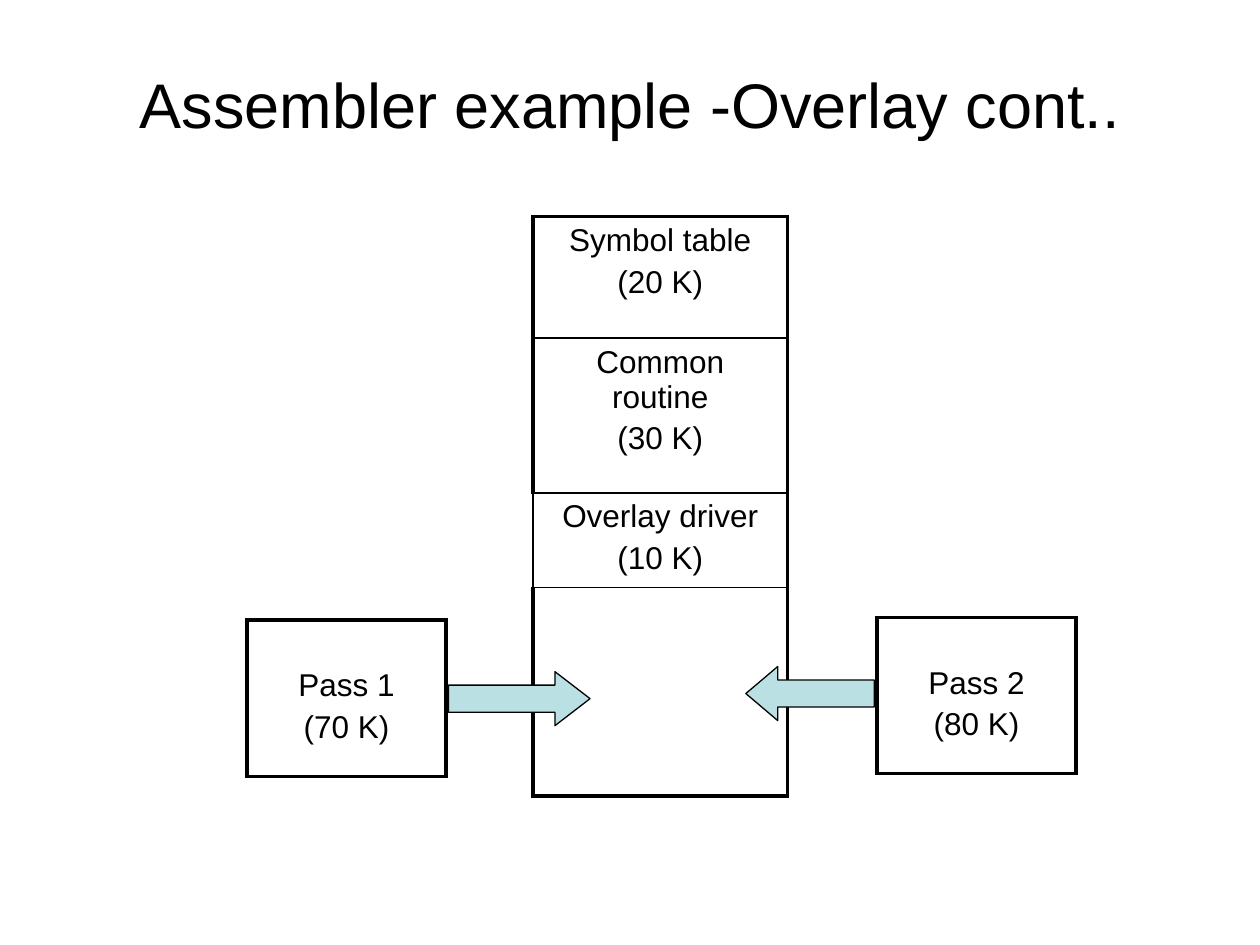
import pptx
import pptx.util
import pptx.dml.color
import pptx.enum.shapes
import pptx.enum.text
import pptx.oxml
import pptx.oxml.ns

Pt = pptx.util.Pt
SHAPE = pptx.enum.shapes.MSO_SHAPE
ANCHOR = pptx.enum.text.MSO_ANCHOR

INK, AQUA = "000000", "BBE0E3"
THIN, BOLD = 1, 2.25

TITLE = "Assembler example -Overlay cont.."

# lines of text, row height, border widths: left, top, right, bottom
MEMORY = [
    (["Symbol table", "(20 K)"], 69.5, (BOLD, BOLD, BOLD, THIN)),
    (["Common routine", "(30 K)"], 88.5, (BOLD, THIN, BOLD, THIN)),
    (["Overlay driver", "(10 K)"], 51, (THIN, THIN, BOLD, THIN)),
    ([], 119, (BOLD, THIN, BOLD, BOLD)),
]
FRAME = (BOLD,) * 4
PASS1 = [(["Pass 1", "(70 K)"], 89.3, FRAME)]
PASS2 = [(["Pass 2", "(80 K)"], 89.3, FRAME)]

# rows, left, top, width, top margin of the cells
TABLES = [
    (MEMORY, 304.6, 123.8, 145.4, 3.6),
    (PASS1, 141.1, 354.4, 113.8, 27.5),
    (PASS2, 501.1, 352.8, 113.8, 27.5),
]
# shape, left, top, width, height, length of the head
ARROWS = [
    (SHAPE.RIGHT_ARROW, 256.3, 383.8, 80.9, 30.9, 0.65),
    (SHAPE.LEFT_ARROW, 426.2, 380.9, 73.4, 30.9, 0.59),
]


def color(code):
    return pptx.dml.color.RGBColor.from_string(code)


def write(frame, lines, size=18, gap=3.6, ink=INK, font="Arial"):
    frame.word_wrap = True
    for i, line in enumerate(lines):
        para = frame.add_paragraph() if i else frame.paragraphs[0]
        para.text = line
        para.alignment = pptx.enum.text.PP_ALIGN.CENTER
        if i:
            para.space_before = Pt(gap)
        para.font.size = Pt(size)
        para.font.name = font
        para.font.color.rgb = color(ink)


def edge(cell, widths):
    """Draw the left, top, right and bottom borders of a cell."""
    props = cell._tc.get_or_add_tcPr()
    space = pptx.oxml.ns.nsdecls("a")
    for side, width in zip("LTRB", widths):
        tag = "ln" + side if side in "LRTB" else side
        order = {"L": 0, "R": 1, "T": 2, "B": 3}[side]
        line = pptx.oxml.parse_xml(
            f'<a:{tag} {space} w="{int(Pt(width))}"><a:solidFill>'
            f'<a:srgbClr val="{INK}"/></a:solidFill></a:{tag}>')
        props.insert(min(order, len(props)) if side != "R" else 1, line)


def grid(shapes, rows, left, top, width, inset):
    high = sum(row[1] for row in rows)
    table = shapes.add_table(
        len(rows), 1, Pt(left), Pt(top), Pt(width), Pt(high)).table
    table.first_row = table.horz_banding = False
    for i, (lines, height, widths) in enumerate(rows):
        table.rows[i].height = Pt(height)
        cell = table.cell(i, 0)
        edge(cell, widths)
        cell.fill.background()
        cell.margin_top = Pt(inset)
        write(cell.text_frame, lines)


def arrow(shapes, kind, left, top, width, height, head):
    shape = shapes.add_shape(kind, Pt(left), Pt(top), Pt(width), Pt(height))
    shape.adjustments[0] = 0.5
    shape.adjustments[1] = head
    shape.shadow.inherit = False
    shape.fill.solid()
    shape.fill.fore_color.rgb = color(AQUA)
    shape.line.color.rgb = color(INK)
    shape.line.width = Pt(0.75)


def main():
    deck = pptx.Presentation()
    deck.slide_width, deck.slide_height = Pt(720), Pt(540)
    shapes = deck.slides.add_slide(deck.slide_layouts[6]).shapes

    title = shapes.add_textbox(Pt(36), Pt(38.2), Pt(648), Pt(41.8)).text_frame
    title.vertical_anchor = ANCHOR.MIDDLE
    write(title, [TITLE], size=36)

    for item in TABLES:
        grid(shapes, *item)
    for item in ARROWS:
        arrow(shapes, *item)
    deck.save("out.pptx")


if __name__ == "__main__":
    main()
